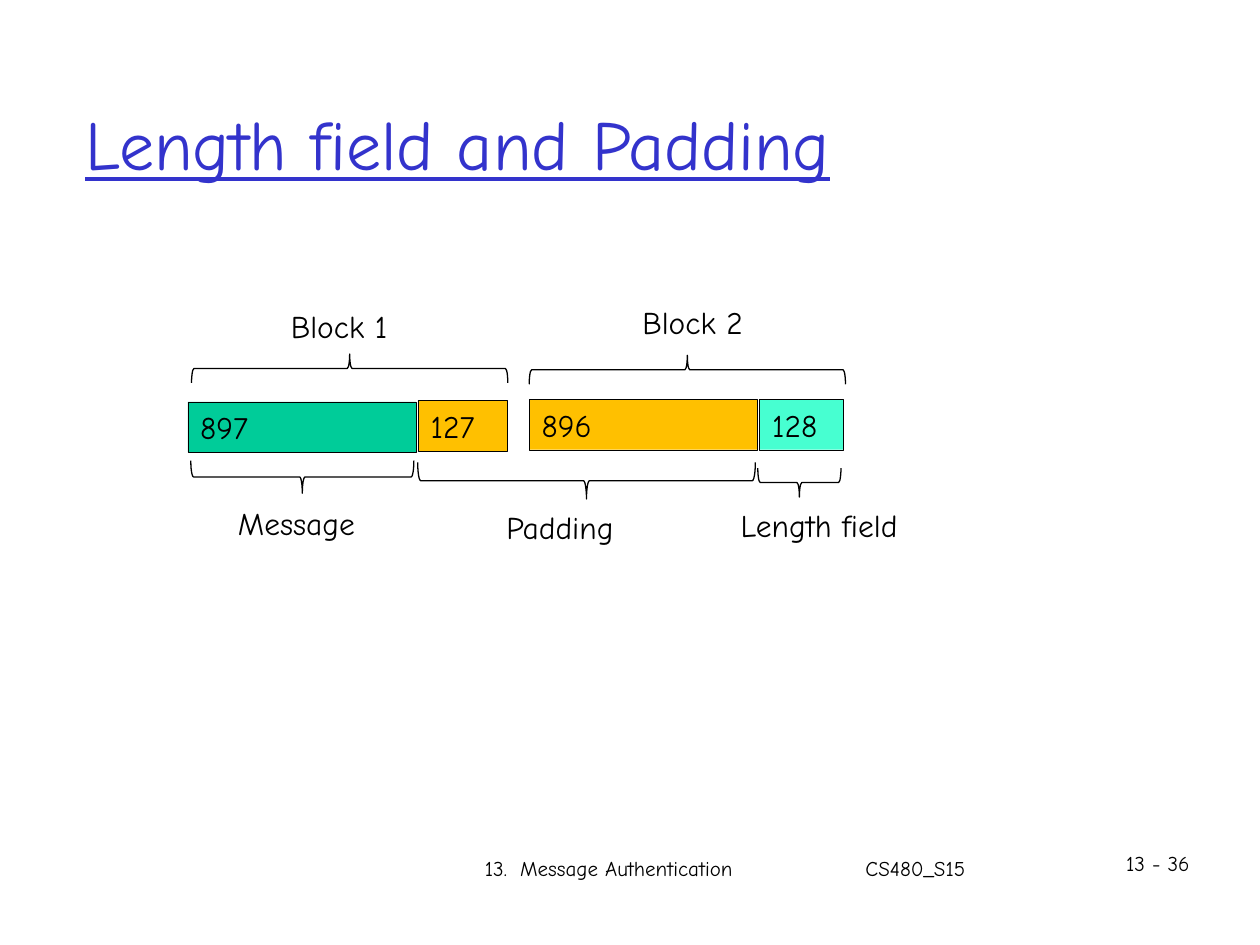
from lxml import etree
from pptx import Presentation
from pptx.dml.color import RGBColor
from pptx.enum.shapes import MSO_SHAPE
from pptx.enum.text import MSO_ANCHOR, PP_ALIGN
from pptx.oxml.ns import qn
from pptx.util import Inches, Pt

RECTANGLE = MSO_SHAPE.RECTANGLE
BRACE = MSO_SHAPE.LEFT_BRACE
TOP, MIDDLE = MSO_ANCHOR.TOP, MSO_ANCHOR.MIDDLE
LEFT = PP_ALIGN.LEFT

COLORS = {
    "text": "000000",
    "title": "3333CC",
    "message": "00CC99",
    "padding": "FFC000",
    "length": "47FFD1",
}
SLIDE_WIDTH, SLIDE_HEIGHT = Inches(10), Inches(7.5)
COLUMN, ROW = SLIDE_WIDTH / 100, SLIDE_HEIGHT / 75
FONT = "Comic Neue"
TITLE_FORMAT = {"name": FONT, "size": Pt(40), "underline": True}
BODY_FORMAT = {"name": FONT, "size": Pt(18)}
FOOTER_FORMAT = {"name": FONT, "size": Pt(12)}


def to_lengths(box):
    left, top, width, height = box
    return [round(value) for value in (left * COLUMN, top * ROW, width * COLUMN, height * ROW)]


def within(region, box):
    return region[0] + box[0], region[1] + box[1], box[2], box[3]


def write(shape, text, font_format, color="text", anchor=TOP, wrap=True, tabs=()):
    frame = shape.text_frame
    frame.word_wrap = wrap
    frame.vertical_anchor = anchor
    paragraph = frame.paragraphs[0]
    paragraph.text = text
    paragraph.alignment = LEFT
    if tabs:
        tab_list = etree.SubElement(paragraph._p.get_or_add_pPr(), qn("a:tabLst"))
        for position in tabs:
            etree.SubElement(tab_list, qn("a:tab"), pos=str(round(position * COLUMN)), algn="l")
    font = paragraph.runs[0].font
    for name, value in font_format.items():
        setattr(font, name, value)
    font.color.rgb = RGBColor.from_string(COLORS[color])


def add_text(slide, box, text, font_format, **options):
    write(slide.shapes.add_textbox(*to_lengths(box)), text, font_format, **options)


def add_outlined(slide, kind, box, line_width):
    shape = slide.shapes.add_shape(kind, *to_lengths(box))
    shape.shadow.inherit = False
    shape.line.color.rgb = RGBColor.from_string(COLORS["text"])
    shape.line.width = Pt(line_width)
    return shape


def add_field(slide, box, bits, color):
    field = add_outlined(slide, RECTANGLE, box, 0.25)
    field.fill.solid()
    field.fill.fore_color.rgb = RGBColor.from_string(COLORS[color])
    write(field, bits, BODY_FORMAT)


def add_brace(slide, box, rotation):
    left, top, width, height = box
    upright = (left + (width - height) / 2, top + (height - width) / 2, height, width)
    brace = add_outlined(slide, BRACE, upright, 0.75)
    brace.fill.background()
    brace.rotation = rotation


def add_title(slide, region):
    add_text(slide, region, "Length field and Padding", TITLE_FORMAT, color="title", anchor=MIDDLE)


def add_block_diagram(slide, region):
    fields = [
        ("897", "message", 0, 8.3, 18.1),
        ("127", "padding", 18.3, 8.2, 7.1),
        ("896", "padding", 27.1, 8.1, 18.1),
        ("128", "length", 45.4, 8.1, 6.6),
    ]
    for bits, color, left, top, width in fields:
        add_field(slide, within(region, (left, top, width, 4)), bits, color)

    up, down = 90, 270
    braces = [
        (up, (0.3, 4.5, 25.1, 2.3)),
        (up, (27.1, 4.6, 25.1, 2.3)),
        (down, (0.25, 12.95, 17.7, 2.6)),
        (down, (18.25, 13.1, 26.8, 2.9)),
        (down, (45.25, 13.55, 6.6, 2.3)),
    ]
    for rotation, box in braces:
        add_brace(slide, within(region, box), rotation)

    labels = [
        ("Block 1", (7.2, 0.3, 10, 4)),
        ("Block 2", (35.1, 0, 10.4, 4)),
        ("Message", (3, 15.9, 11.7, 4)),
        ("Padding", (24.3, 16.2, 11, 4)),
        ("Length field", (42.9, 16.1, 14.9, 4)),
    ]
    for text, box in labels:
        add_text(slide, within(region, box), text, BODY_FORMAT, wrap=True)


def add_footer(slide, region):
    course = "13.\tMessage Authentication\tCS480_S15"
    add_text(slide, within(region, (0, 0.4, 46.5, 3)), course, FOOTER_FORMAT, tabs=(2.8, 30.2))
    add_text(slide, within(region, (50.9, 0, 8.3, 3)), "13 - 36", FOOTER_FORMAT)


def main():
    presentation = Presentation()
    presentation.slide_width, presentation.slide_height = SLIDE_WIDTH, SLIDE_HEIGHT
    slide = presentation.slides.add_slide(presentation.slide_layouts[6])
    add_title(slide, (5.8, 5.1, 85, 12.4))
    add_block_diagram(slide, (14.9, 23.6, 57.8, 20.2))
    add_footer(slide, (37.5, 67, 59.2, 3.4))
    presentation.save("out.pptx")


if __name__ == "__main__":
    main()
